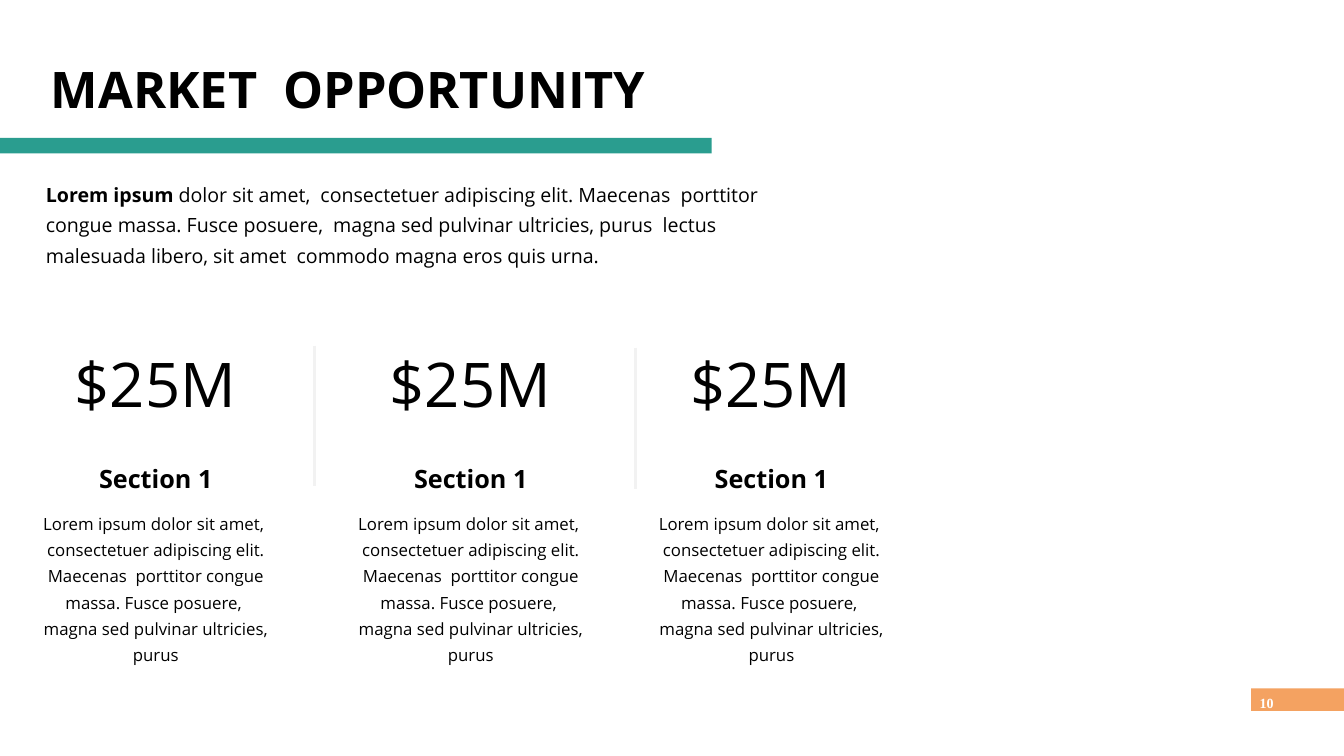
from dataclasses import dataclass

from lxml.etree import SubElement
from pptx import Presentation
from pptx.dml.color import RGBColor as RGB
from pptx.enum.shapes import MSO_CONNECTOR as Link, MSO_SHAPE as Form
from pptx.enum.text import MSO_ANCHOR as Anchor, MSO_AUTO_SIZE as Fit, PP_ALIGN as Align
from pptx.oxml.ns import qn
from pptx.slide import Slide
from pptx.text.text import TextFrame
from pptx.util import Pt


@dataclass(frozen=True)
class Theme:
    font: str = "Open Sans"
    serif: str = "Times New Roman"
    ink: RGB = RGB(0, 0, 0)
    white: RGB = RGB(255, 255, 255)
    teal: RGB = RGB(0x2A, 0x9D, 0x8F)
    orange: RGB = RGB(0xF4, 0xA2, 0x61)
    rule: RGB = RGB(0xF2, 0xF2, 0xF2)
    title: int = 72
    figure: int = 88
    head: int = 36
    lead: int = 28
    body: int = 24
    page: int = 20


@dataclass(frozen=True)
class Box:
    left: float
    top: float
    width: float
    height: float

    def pts(self) -> tuple:
        return Pt(self.left), Pt(self.top), Pt(self.width), Pt(self.height)


@dataclass(frozen=True)
class Column:
    left: float
    figure: str
    head: str
    body: str


THEME = Theme()
PAD = (0, 6, 34, 6)
BODY = (
    "Lorem ipsum dolor sit amet,  consectetuer adipiscing elit. "
    "Maecenas  porttitor congue massa. Fusce posuere,  "
    "magna sed pulvinar ultricies, purus"
)
LEAD = (
    "dolor sit amet,  consectetuer adipiscing elit. Maecenas  porttitor "
    "congue massa. Fusce posuere,  magna sed pulvinar ultricies, purus  lectus "
    "malesuada libero, sit amet  commodo magna eros quis urna."
)
COLUMNS = [Column(left, "$25M", "Section 1", BODY) for left in (56, 506, 935.5)]
RULES = [(449.3, 494), (908, 497)]
RULE_HEIGHT = 201


def set_frame(frame: TextFrame, pad: tuple, fit: Fit) -> None:
    frame.word_wrap = True
    frame.auto_size = fit
    frame.vertical_anchor = Anchor.TOP
    (frame.margin_left, frame.margin_top,
     frame.margin_right, frame.margin_bottom) = map(Pt, pad)


def add_frame(slide: Slide, box: Box, pad: tuple = PAD) -> TextFrame:
    frame = slide.shapes.add_textbox(*box.pts()).text_frame
    set_frame(frame, pad, Fit.SHAPE_TO_FIT_TEXT)
    return frame


def write(frame: TextFrame, *parts: tuple[str, bool], size: int,
          font: str = THEME.font, color: RGB = THEME.ink,
          align: Align = Align.LEFT, lines: float = 1.0,
          before: float = 0, more: bool = False) -> None:
    """Write (text, bold) parts as one paragraph; more adds it after the last."""
    para = frame.add_paragraph() if more else frame.paragraphs[0]
    para.alignment = align
    para.line_spacing = lines
    para.space_before = Pt(before)
    for text, bold in parts:
        run = para.add_run()
        run.text = text
        run.font.name = font
        run.font.size = Pt(size)
        run.font.bold = bold
        run.font.color.rgb = color


def add_bar(slide: Slide, box: Box, color: RGB) -> None:
    bar = slide.shapes.add_shape(Form.RECTANGLE, *box.pts())
    bar.shadow.inherit = False
    bar.fill.solid()
    bar.fill.fore_color.rgb = color
    bar.line.fill.background()


def add_rule(slide: Slide, left: float, top: float) -> None:
    rule = slide.shapes.add_connector(
        Link.STRAIGHT, Pt(left), Pt(top), Pt(left), Pt(top + RULE_HEIGHT))
    rule.line.color.rgb = THEME.rule
    rule.line.width = Pt(4.5)
    SubElement(rule.element.spPr, qn("a:effectLst"))


def add_title(slide: Slide, text: str) -> None:
    title = slide.shapes.title
    title.left, title.top, title.width, title.height = Box(65.5, 80, 1298, 104.4).pts()
    set_frame(title.text_frame, (7.2, 3.6, 7.2, 3.6), Fit.NONE)
    write(title.text_frame, (text, True), size=THEME.title)


def add_column(slide: Slide, col: Column) -> None:
    figure = add_frame(slide, Box(col.left + 15, 488, 336, 118))
    write(figure, (col.figure, False), size=THEME.figure, align=Align.CENTER)
    story = add_frame(slide, Box(col.left, 643, 367, 274))
    write(story, (col.head, True), size=THEME.head, align=Align.CENTER, lines=1.3)
    write(story, (col.body, False), size=THEME.body, align=Align.CENTER,
          lines=1.3, before=20, more=True)


def main() -> None:
    deck = Presentation()
    deck.slide_width, deck.slide_height = Pt(1920), Pt(1080)
    slide = deck.slides.add_slide(deck.slide_layouts[5])

    add_title(slide, "MARKET  OPPORTUNITY")
    add_bar(slide, Box(0, 197, 1016.5, 22), THEME.teal)
    lead = add_frame(slide, Box(65.5, 245, 1092, 140))
    write(lead, ("Lorem ipsum ", True), (LEAD, False), size=THEME.lead, lines=1.3)

    for left, top in RULES:
        add_rule(slide, left, top)
    for col in COLUMNS:
        add_column(slide, col)

    add_bar(slide, Box(1787.5, 983.5, 132.5, 32), THEME.orange)
    page = add_frame(slide, Box(1793.5, 988, 32.5, 24.5), pad=(6, 0, 0, 0))
    write(page, ("10", True), size=THEME.page, font=THEME.serif,
          color=THEME.white, lines=1.2)
    deck.save("out.pptx")


if __name__ == "__main__":
    main()
